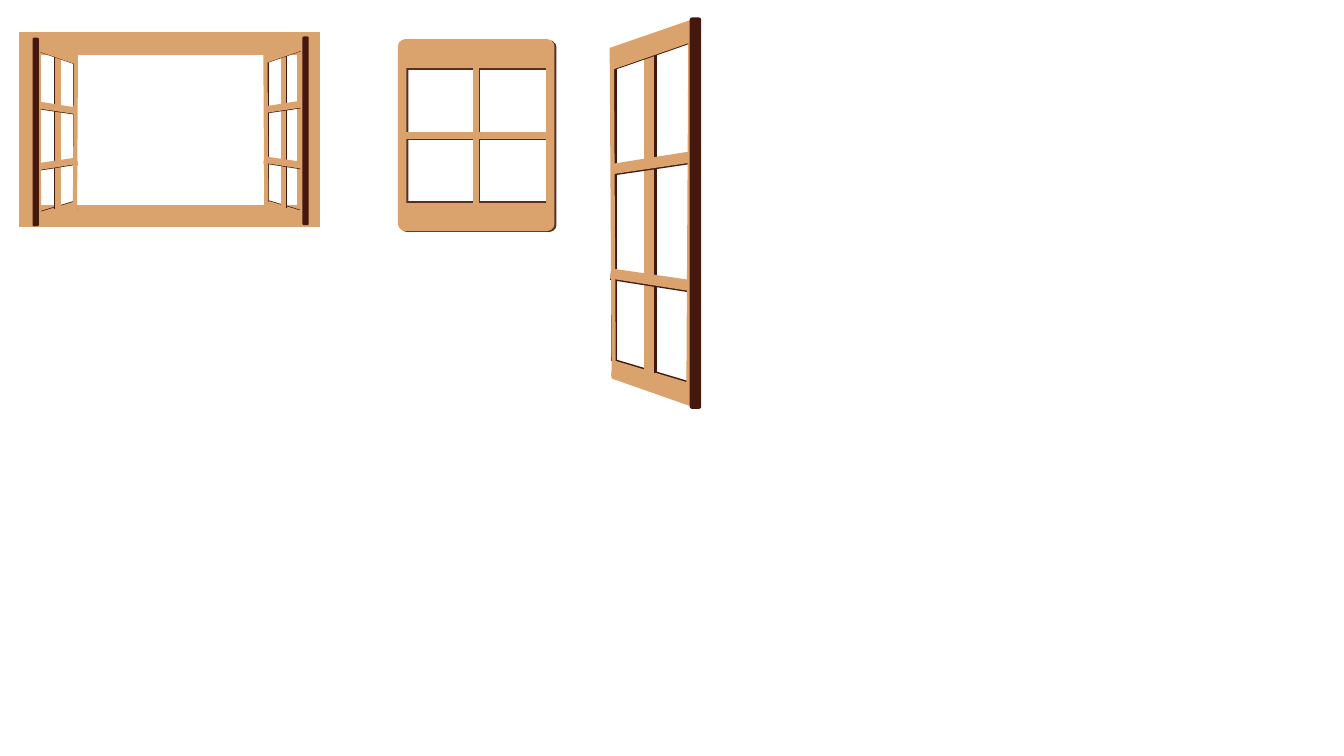
from dataclasses import dataclass

from lxml import etree
from pptx import Presentation
from pptx import util as u
from pptx.dml import color
from pptx.enum import shapes
from pptx.oxml import ns


@dataclass(frozen=True)
class Theme:
    """Colours and line widths of the windows."""
    wood: str = "DAA36D"
    dark: str = "44180D"
    shade: str = "5B2E1C"
    thin: float = 1
    rail: float = 2.25
    edge: float = 3
    casement: float = 6
    frame: float = 16


T = Theme()
RECT = shapes.MSO_SHAPE.RECTANGLE
ROUND = shapes.MSO_SHAPE.ROUNDED_RECTANGLE

SASH_WIDTH = 63.4
SASH_OUTLINE = [(0, 22.3), (56.2, 2.9), (54.7, 275), (1.4, 256.3)]
BOTTOM_RAIL = [(1.4, 255.6), (55.4, 274.3), (55.4, 262.1), (2.2, 246.2)]
TOP_RAIL = [(1.4, 23), (56.2, 3.6), (56.2, 15.8), (2.2, 34.6)]
UPPER_BAR = [(0.7, 105.1), (54.7, 96.5), (55.4, 102.2), (1.4, 110.2)]
LOWER_BAR = [(0.7, 180), (54.7, 187.9), (55.4, 193.7), (0, 185)]
TOP_RAIL_SHADOW = [(1.4, 25.2), (54, 7.9), (54, 17.3), (2.2, 35.3)]

CASEMENT_PARTS = [
    (289.1, 94.7, 105.8, 4.3, 0, 0.7),
    (338.4, 47.5, 3.6, 97.9, 0.7, 0),
    (286.6, 145.4, 105.8, 15.8, -0.7, -1.4),
    (287.3, 32.4, 105.8, 15.8, 0, 1.4),
]


def paint(sp, fill, line, width):
    """Set fill, mitred outline and no shadow on a shape."""
    sp.shadow.inherit = False
    if fill:
        sp.fill.solid()
        sp.fill.fore_color.rgb = color.RGBColor.from_string(fill)
    else:
        sp.fill.background()
    sp.line.width = u.Pt(width)
    sp.line.color.rgb = color.RGBColor.from_string(line)
    ln = sp.line._get_or_add_ln()
    etree.SubElement(ln, ns.qn("a:miter")).set("lim", "800000")


def add_box(s, box, fill, line, width=T.thin, kind=RECT, adj=None):
    """Add a preset shape with its box in points."""
    sp = s.shapes.add_shape(kind, *(u.Pt(v) for v in box))
    if adj is not None:
        sp.adjustments[0] = adj
    paint(sp, fill, line, width)


def add_polygon(s, points, fill, line, width):
    """Add a closed outline through points given in points."""
    first, *rest = [(u.Pt(x), u.Pt(y)) for x, y in points]
    builder = s.shapes.build_freeform(*first)
    builder.add_line_segments(rest, close=True)
    paint(builder.convert_to_shape(), fill, line, width)


def add_sash(s, left, top, scale=1, mirror=False):
    """Add an open sash, hinged on the right unless mirrored."""
    def bar(x, y, w, h, fill, kind=RECT):
        x = SASH_WIDTH - x - w if mirror else x
        box = (left + x * scale, top + y * scale, w * scale, h * scale)
        add_box(s, box, fill, fill, kind=kind)

    def panel(points, fill, line, width, dy=0):
        placed = [(left + (SASH_WIDTH - x if mirror else x) * scale,
                   top + (y + dy) * scale) for x, y in points]
        add_polygon(s, placed, fill, line, width)

    panel(BOTTOM_RAIL, T.wood, T.dark, T.edge, dy=-1.1)
    panel(BOTTOM_RAIL, T.wood, T.wood, T.edge)
    bar(0, 27.4, 3.6, 216.7, T.dark)
    bar(28.1, 22.3, 3.6, 230.4, T.dark)
    bar(23.8, 19.4, 5.8, 239.8, T.wood)
    panel(TOP_RAIL_SHADOW, T.dark, T.dark, T.edge)
    for points in (UPPER_BAR, LOWER_BAR):
        panel(points, T.dark, T.dark, T.rail, dy=1)
    panel(SASH_OUTLINE, None, T.wood, T.edge)
    panel(TOP_RAIL, T.wood, T.wood, T.edge)
    for points in (LOWER_BAR, UPPER_BAR):
        panel(points, T.wood, T.wood, T.rail)
    bar(56.2, 0, 7.2, 278.6, T.dark, ROUND)


def add_casement(s):
    """Add the closed four-pane window, shadow layer first."""
    for tone, shift in ((T.shade, 1), (T.wood, 0)):
        for x, y, w, h, dx, dy in CASEMENT_PARTS:
            add_box(s, (x + dx * shift, y + dy * shift, w, h), tone, tone)
        add_box(s, (287.3 + 1.4 * shift, 31 + 0.7 * shift, 105.8, 131),
                None, tone, T.casement, ROUND, 0.023)


def main():
    """Build the slide of three windows."""
    prs = Presentation()
    prs.slide_width, prs.slide_height = u.Pt(960), u.Pt(540)
    s = prs.slides.add_slide(prs.slide_layouts[6])
    add_sash(s, 437, 13)
    add_box(s, (21.6, 31, 198.7, 123.1), None, T.wood, T.frame)
    add_sash(s, 189.6, 26.6, 0.48)
    add_sash(s, 23.8, 27.4, 0.48, mirror=True)
    add_casement(s)
    prs.save("out.pptx")


if __name__ == "__main__":
    main()
